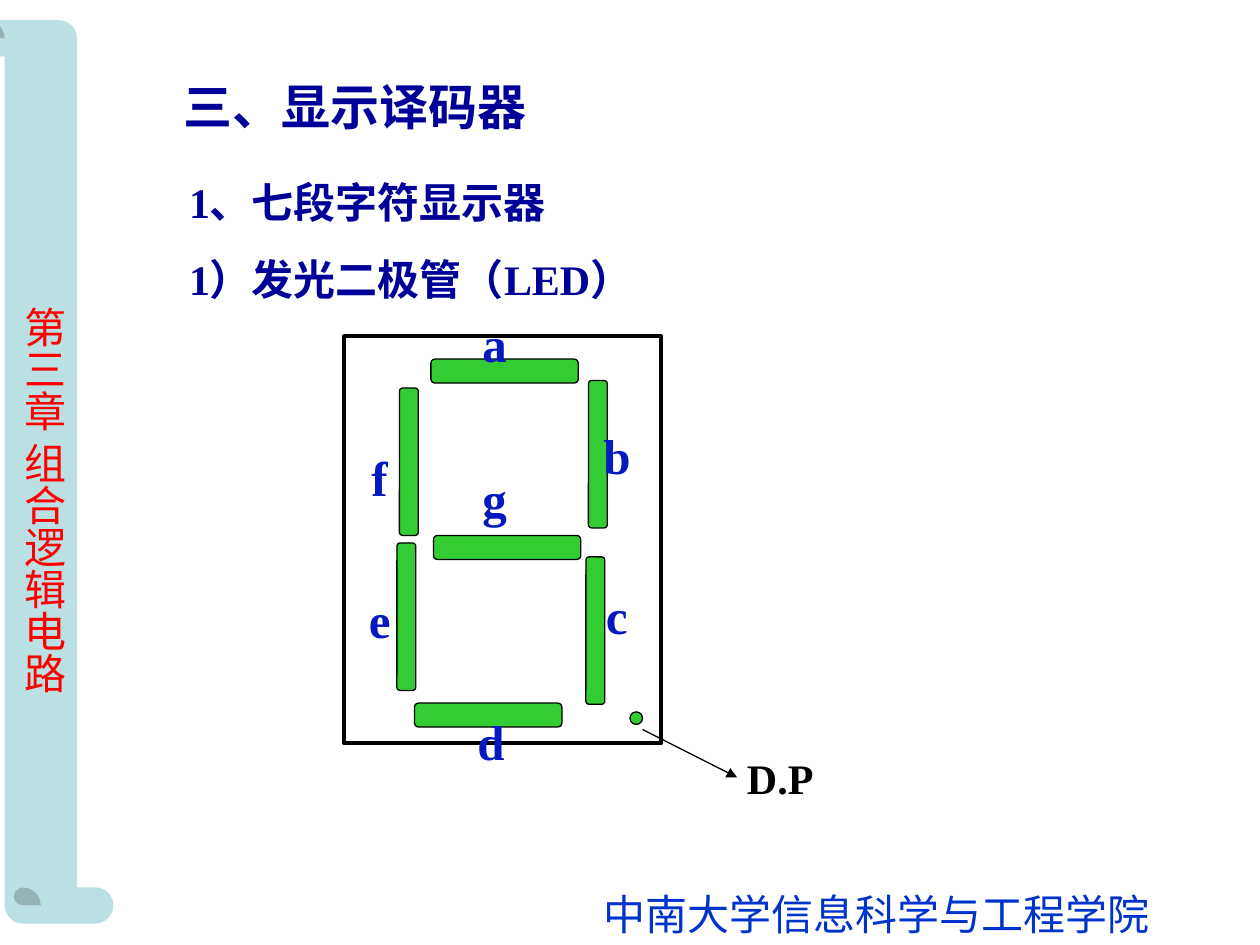
"""Build the slide on the seven-segment LED display."""
import pptx
import pptx.util
import pptx.dml.color
import pptx.enum.shapes
import pptx.enum.text
import pptx.oxml
import pptx.oxml.ns
from lxml import etree

Inches = pptx.util.Inches
Pt = pptx.util.Pt
qn = pptx.oxml.ns.qn
Kind = pptx.enum.shapes.MSO_SHAPE
SERIF = "Times New Roman"
SANS = "Noto Sans CJK SC"
NAVY = "000099"
BLUE = "041AC0"
GREEN = "33CC33"
BLACK = "000000"


def color(text):
    return pptx.dml.color.RGBColor.from_string(text)


class Board:
    def __init__(self, slide):
        self.slide = slide
        self.shapes = slide.shapes

    def place(self, shape, box):
        shape.left, shape.top, shape.width, shape.height = map(Inches, box)

    def fill(self, frame, text, size, ink, bold=True, font=SERIF, gap=0):
        frame.text = text
        frame.auto_size = pptx.enum.text.MSO_AUTO_SIZE.NONE
        frame.vertical_anchor = pptx.enum.text.MSO_ANCHOR.TOP
        for rank, para in enumerate(frame.paragraphs):
            para.alignment = pptx.enum.text.PP_ALIGN.LEFT
            para.space_before = Pt(gap if rank else 0)
            for run in para.runs:
                run.font.size = Pt(size)
                run.font.bold = bold
                run.font.name = font
                run.font.color.rgb = color(ink)
                east = etree.SubElement(run.font._element, qn("a:ea"))
                east.set("typeface", SANS)

    def title(self, text, box):
        shape = self.shapes.title
        self.place(shape, box)
        self.fill(shape.text_frame, text, 28, NAVY)

    def body(self, lines, box):
        shape = self.slide.placeholders[1]
        self.place(shape, box)
        self.fill(shape.text_frame, "\n".join(lines), 24, NAVY, gap=15)
        for para in shape.text_frame.paragraphs:
            props = para._p.get_or_add_pPr()
            props.set("marL", "0")
            props.set("indent", "0")
            etree.SubElement(props, qn("a:buNone"))

    def text(self, text, box, size, ink, wrap=True, **style):
        shape = self.shapes.add_textbox(*map(Inches, box))
        self.fill(shape.text_frame, text, size, ink, **style)
        shape.text_frame.word_wrap = wrap
        return shape

    def column(self, text, box, size, ink):
        shape = self.text(text, box, size, ink, wrap=False, bold=False, font=SANS)
        frame = shape.text_frame
        frame.margin_left = frame.margin_right = Inches(0.05)
        frame.margin_top = frame.margin_bottom = Inches(0.1)
        frame._txBody.bodyPr.set("vert", "eaVert")

    def shape(self, kind, box, fill, width=0, round=None):
        shape = self.shapes.add_shape(kind, *map(Inches, box))
        shape.shadow.inherit = False
        shape.fill.solid()
        shape.fill.fore_color.rgb = color(fill)
        if width:
            shape.line.color.rgb = color(BLACK)
            shape.line.width = Pt(width)
        else:
            shape.line.fill.background()
        if round:
            shape.adjustments[0] = round
        return shape

    def arrow(self, start, end):
        line = self.shapes.add_connector(
            pptx.enum.shapes.MSO_CONNECTOR.STRAIGHT, *map(Inches, start + end))
        line.line.color.rgb = color(BLACK)
        line.line.width = Pt(0.75)
        tail = etree.SubElement(line.line._get_or_add_ln(), qn("a:tailEnd"))
        tail.set("type", "triangle")
        etree.SubElement(line._element.spPr, qn("a:effectLst"))


def main():
    deck = pptx.Presentation()
    deck.slide_width, deck.slide_height = Inches(10), Inches(7.5)
    board = Board(deck.slides.add_slide(deck.slide_layouts[1]))

    scroll = board.shape(Kind.HORIZONTAL_SCROLL, (-3.26, 3.17, 7.17, 1.15),
                         "BBE0E3", round=0.25)
    scroll.rotation = 270
    board.column("第三章 组合逻辑电路", (0, 2.33, 0.6, 3.27), 24, "FF0000")
    board.text("中南大学信息科学与工程学院", (4.69, 7, 4.53, 0.5), 24, "0033CC",
               wrap=False, bold=False)
    board.title("三、显示译码器", (1.36, 0.56, 5.48, 0.57))
    board.body(["1、七段字符显示器", "1）发光二极管（LED）"], (1.4, 1.35, 5.96, 1.11))

    board.shape(Kind.RECTANGLE, (2.73, 2.67, 2.52, 3.23), "FFFFFF", 2.25)
    flat, tall = (1.17, 0.19), (0.15, 1.17)
    bars = {
        "a": ((3.42, 2.85), flat, (3.73, 2.44)),
        "b": ((4.67, 3.02), tall, (4.69, 3.33)),
        "c": ((4.65, 4.42), tall, (4.71, 4.6)),
        "d": ((3.29, 5.58), flat, (3.69, 5.6)),
        "e": ((3.15, 4.31), tall, (2.83, 4.63)),
        "f": ((3.17, 3.08), tall, (2.85, 3.5)),
        "g": ((3.44, 4.25), flat, (3.73, 3.67)),
    }
    for spot, size, _ in bars.values():
        board.shape(Kind.ROUNDED_RECTANGLE, spot + size, GREEN, 0.75, 0.17)
    board.shape(Kind.OVAL, (5, 5.65, 0.1, 0.1), GREEN, 0.75)
    for name, (_, _, spot) in bars.items():
        board.text(name, spot + (0.56, 0.57), 28, BLUE)
    board.arrow((5.1, 5.79), (5.85, 6.17))
    board.text("D.P", (5.83, 5.92, 0.87, 0.5), 24, BLACK)

    deck.save("out.pptx")


if __name__ == "__main__":
    main()
